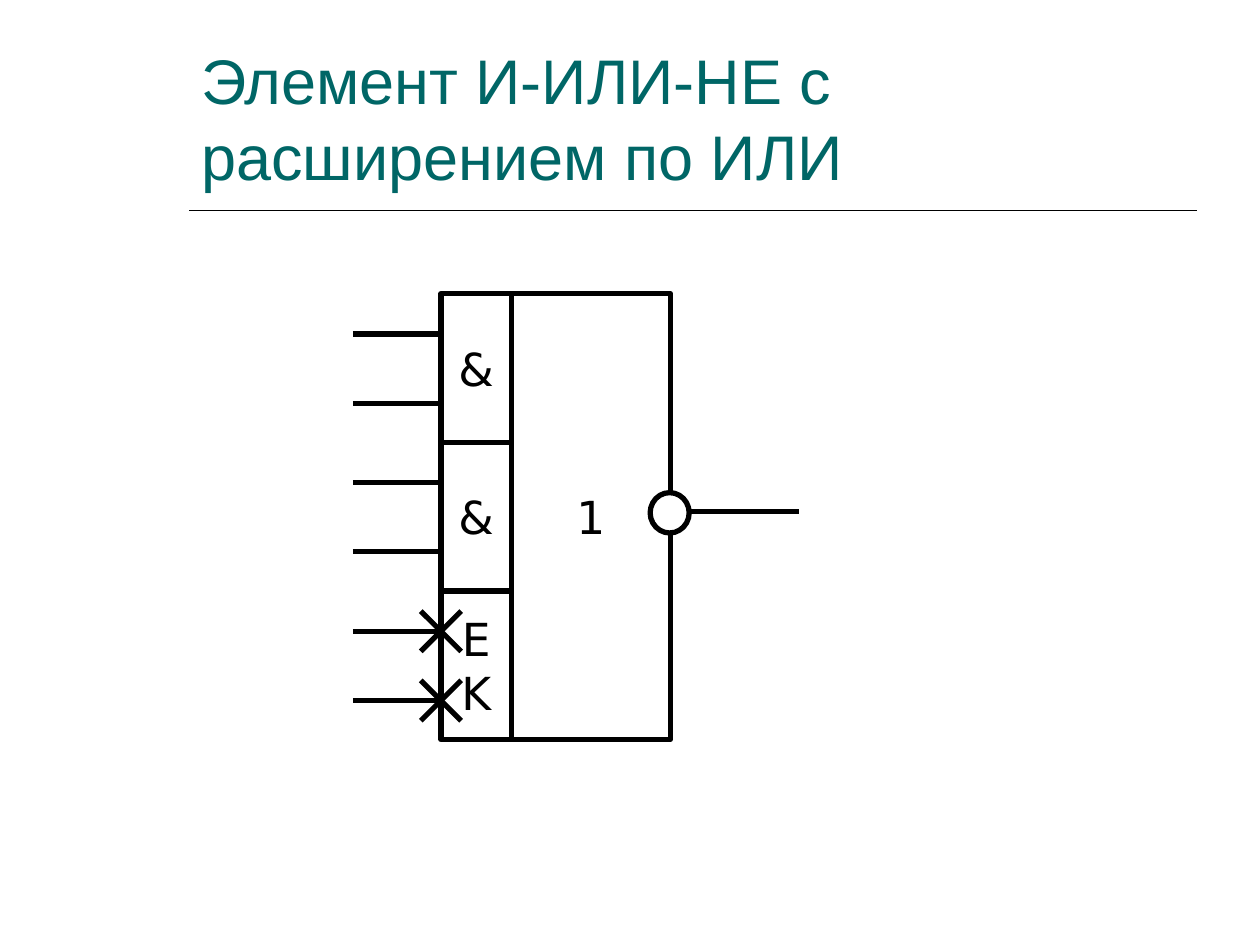
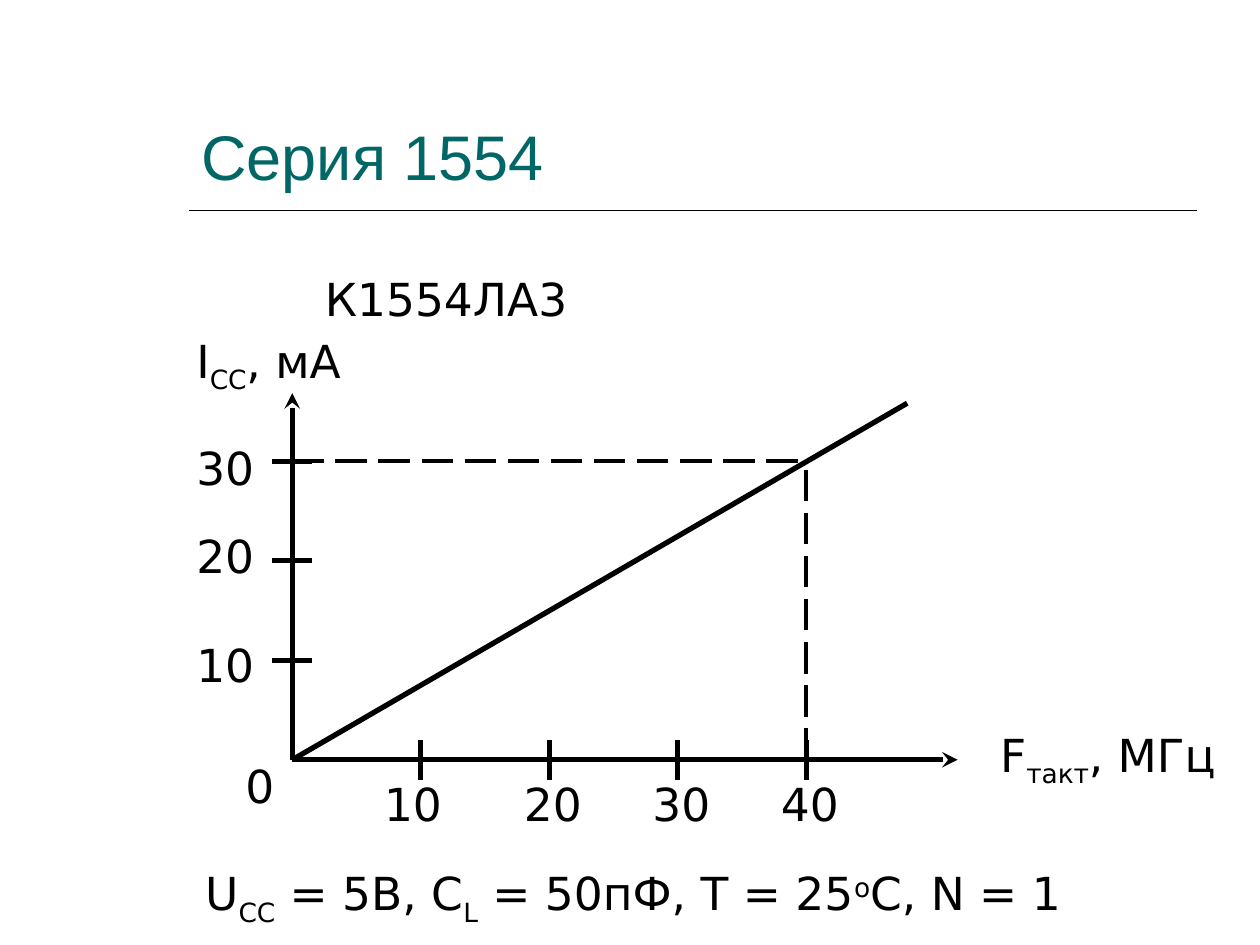
from dataclasses import dataclass

from lxml import etree
from pptx import Presentation
from pptx import util as u
from pptx.dml.color import RGBColor
from pptx.enum import dml, shapes, text
from pptx.oxml.ns import qn


@dataclass(frozen=True)
class Theme:
    ink: RGBColor = RGBColor(0, 0, 0)
    paper: RGBColor = RGBColor(255, 255, 255)
    teal: RGBColor = RGBColor(0, 0x66, 0x66)
    head: str = "Arial"
    body: str = "DejaVu Sans"
    big: float = 36
    mid: float = 26
    thick: float = 3
    dash: float = 2.25
    thin: float = 1


SHIFT = {"_": "-25000", "^": "30000"}


def write(frame, words, font, size, color, align=text.PP_ALIGN.LEFT,
          anchor=text.MSO_ANCHOR.TOP, wrap=True):
    frame.word_wrap = wrap
    frame.vertical_anchor = anchor
    for i, row in enumerate(words.split("\n")):
        para = frame.add_paragraph() if i else frame.paragraphs[0]
        para.alignment = align
        for part in row.split("|"):
            run = para.add_run()
            run.text = part.lstrip("_^")
            run.font.name = font
            run.font.size = u.Pt(size)
            run.font.color.rgb = color
            if part[0] in SHIFT:
                run.font._element.set("baseline", SHIFT[part[0]])


class Deck:
    def __init__(self, theme):
        self.theme = theme
        self.file = Presentation()
        self.file.slide_width = u.Inches(10)
        self.file.slide_height = u.Inches(7.5)

    def page(self, title, top, high):
        self.slide = self.file.slides.add_slide(self.file.slide_layouts[6])
        t = self.theme
        self.line(1.5, 1.67, 9.5, 1.67, width=t.thin)
        self.label(title, 1.5, top, 8, high, font=t.head, size=t.big,
                   color=t.teal, anchor=text.MSO_ANCHOR.BOTTOM)

    def label(self, words, x, y, w, h=0.54, **style):
        t = self.theme
        box = self.slide.shapes.add_textbox(*map(u.Inches, (x, y, w, h)))
        look = dict(font=t.body, size=t.mid, color=t.ink)
        write(box.text_frame, words, **(look | style))

    def line(self, x1, y1, x2, y2, width=None, dash=False, arrow=False):
        t = self.theme
        line = self.slide.shapes.add_connector(
            shapes.MSO_CONNECTOR.STRAIGHT, *map(u.Inches, (x1, y1, x2, y2)))
        line.line.color.rgb = t.ink
        line.line.width = u.Pt(width or t.thick)
        if dash:
            line.line.dash_style = dml.MSO_LINE.LONG_DASH
        if arrow:
            etree.SubElement(line.line._get_or_add_ln(), qn("a:tailEnd"),
                             type="stealth")
        etree.SubElement(line._element.spPr, qn("a:effectLst"))

    def shape(self, kind, x, y, w, h, words=""):
        t = self.theme
        item = self.slide.shapes.add_shape(kind, *map(u.Inches, (x, y, w, h)))
        item.shadow.inherit = False
        item.fill.solid()
        item.fill.fore_color.rgb = t.paper
        item.line.color.rgb = t.ink
        item.line.width = u.Pt(t.thick)
        if words:
            write(item.text_frame, words, t.body, t.mid, t.ink,
                  align=text.PP_ALIGN.CENTER,
                  anchor=text.MSO_ANCHOR.MIDDLE, wrap=False)


def gate(deck):
    deck.page("Элемент И-ИЛИ-НЕ с расширением по ИЛИ", 0.05, 1.53)
    rect = shapes.MSO_SHAPE.RECTANGLE
    left, top, cell, wide = 3.5, 2.33, 1.18, 0.56
    deck.shape(rect, left + wide, top, 1.26, 3 * cell, "1")
    for i, mark in enumerate(("&", "&", "E\nK")):
        y = top + i * cell
        deck.shape(rect, left, y, wide, cell, mark)
        for pin in (y + 0.32, y + 0.87):
            deck.line(2.8, pin, left, pin)
            if mark != "&":
                for d in (0.16, -0.16):
                    deck.line(left - 0.16, pin - d, left + 0.16, pin + d)
    deck.line(5.32, 4.06, 6.34, 4.06)
    deck.shape(shapes.MSO_SHAPE.OVAL, 5.16, 3.91, 0.31, 0.32)


def graph(deck):
    deck.page("Серия 1554", 0.33, 1.25)
    left, base, tick = 2.32, 6.03, 0.16
    xs = [left + 1.02 * i for i in range(1, 5)]
    ys = [base - 0.79 * i for i in range(1, 4)]
    deck.line(left, base, left, 3.12, arrow=True)
    deck.line(left, base, 7.6, base, arrow=True)
    deck.line(left, base, 7.2, 3.2)
    for x in xs:
        deck.line(x, base + tick, x, base - tick)
    for y in ys:
        deck.line(left - tick, y, left + tick, y)
    far, high = xs[-1], ys[-1]
    width = deck.theme.dash
    deck.line(left, high, far, high, width=width, dash=True)
    deck.line(far, base, far, high, width=width, dash=True)
    for i, x in enumerate((2.95, 4.06, 5.08, 6.1), 1):
        deck.label(str(10 * i), x, 6.11, 0.87)
    for i, y in enumerate((5.01, 4.14, 3.44), 1):
        deck.label(str(10 * i), 1.46, y, 0.87)
    deck.label("0", 1.85, 5.97, 0.63)
    deck.label("К1554ЛА3", 2.48, 2.1, 3.86)
    deck.label("I|_CC|, мА", 1.46, 2.59, 1.89, 0.6)
    deck.label("F|_такт|, МГц", 7.84, 5.72, 2.13, 0.6)
    deck.label("U|_CC| = 5В, C|_L| = 50пФ, T = 25|^о|С, N = 1",
               1.53, 6.82, 8.11, 0.6)


def main():
    deck = Deck(Theme())
    gate(deck)
    graph(deck)
    deck.file.save("out.pptx")


if __name__ == "__main__":
    main()
